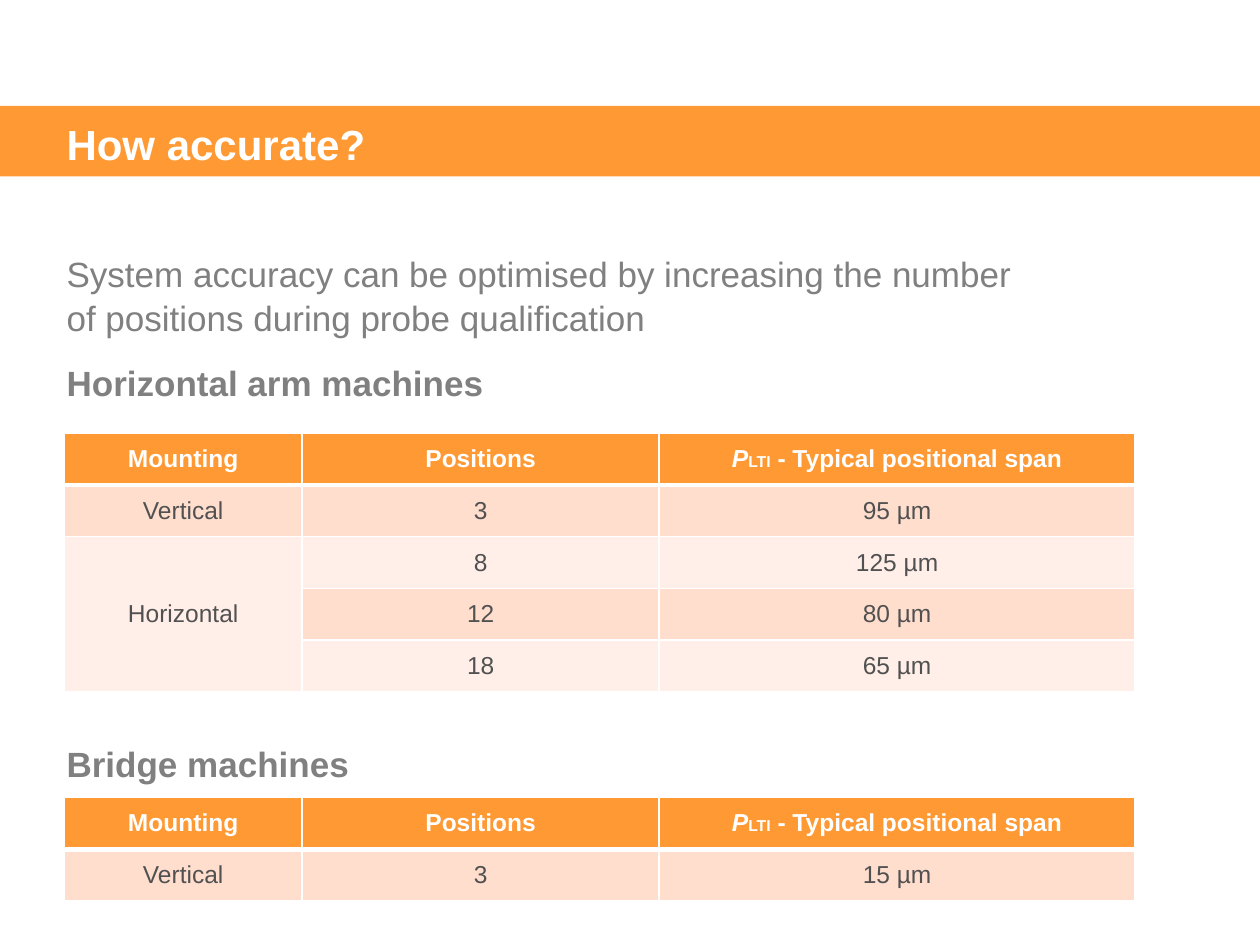
from pptx import Presentation
from pptx.dml.color import RGBColor
from pptx.enum.shapes import MSO_SHAPE
from pptx.enum.text import MSO_ANCHOR, PP_ALIGN
from pptx.oxml import parse_xml
from pptx.oxml.ns import nsdecls
from pptx.util import Inches, Pt

TITLE = "How accurate?"
# text, bold, space before in points
BODY = [
    ("System accuracy can be optimised by increasing the number "
     "of positions during probe qualification", False, 0),
    ("Horizontal arm machines", True, 0),
    ("Bridge machines", True, 180),
]
HEAD = ["Mounting", "Positions", ("P", "LTI", " - Typical positional span")]
ARM = [
    ("Vertical", "3", "95 µm"),
    ("Horizontal", "8", "125 µm"),
    ("", "12", "80 µm"),
    ("", "18", "65 µm"),
]
BRIDGE = [("Vertical", "3", "15 µm")]

THEME = {
    "font": "Arial", "accent": "FF9933", "white": "FFFFFF", "grey": "808080",
    "ink": "515151", "bands": ("FFDECE", "FFEFE8"),
    "title": 24, "body": 20, "cell": 14, "small": 9,
}
WIDE, HIGH = 10, 7.5
EDGE = 0.43
LEFT, SPAN, ROW = 0.51, 8.5, 0.41
SHARES = (2, 3, 4)


def color(name):
    return RGBColor.from_string(THEME.get(name, name))


def style(font, size, tint, bold=False):
    font.name = THEME["font"]
    font.size = Pt(THEME[size])
    font.color.rgb = color(tint)
    font.bold = bold


def add_text(slide, area, items, size, tint, after=0):
    box = slide.shapes.add_textbox(*map(Inches, area))
    frame = box.text_frame
    frame.word_wrap = True
    for i, (text, bold, before) in enumerate(items):
        para = frame.add_paragraph() if i else frame.paragraphs[0]
        para.text = text
        para.line_spacing = 1.05
        para.space_before, para.space_after = Pt(before), Pt(after)
        style(para.font, size, tint, bold)


def add_edges(cell, top, bottom):
    """Draw white cell borders; top and bottom are widths in points."""
    props = cell._tc.get_or_add_tcPr()
    for i, (side, width) in enumerate(zip("LRTB", (1, 1, top, bottom))):
        props.insert(i, parse_xml(
            f'<a:ln{side} {nsdecls("a")} w="{Pt(width)}"><a:solidFill>'
            f'<a:srgbClr val="{THEME["white"]}"/></a:solidFill></a:ln{side}>'))


def fill_cell(cell, value, row):
    head = row == 0
    cell.fill.solid()
    cell.fill.fore_color.rgb = color(
        "accent" if head else THEME["bands"][(row - 1) % 2])
    cell.vertical_anchor = MSO_ANCHOR.MIDDLE
    para = cell.text_frame.paragraphs[0]
    para.alignment = PP_ALIGN.CENTER
    style(para.font, "cell", "white" if head else "ink", head)
    if isinstance(value, tuple):
        for part in value:
            para.add_run().text = part
        symbol, index, _ = para.runs
        symbol.font.italic = True
        index.font.size = Pt(THEME["small"])
    else:
        para.text = value
    add_edges(cell, 3 if row == 1 else 1, 3 if head else 1)


def add_grid(slide, top, data):
    rows = [HEAD, *data]
    area = (LEFT, top, SPAN, ROW * len(rows))
    table = slide.shapes.add_table(
        len(rows), len(HEAD), *map(Inches, area)).table
    for col, share in zip(table.columns, SHARES):
        col.width = Inches(SPAN * share / sum(SHARES))
    for r, values in enumerate(rows):
        table.rows[r].height = Inches(ROW)
        for c, value in enumerate(values):
            fill_cell(table.cell(r, c), value, r)
    return table


def main():
    deck = Presentation()
    deck.slide_width, deck.slide_height = Inches(WIDE), Inches(HIGH)
    slide = deck.slides.add_slide(deck.slide_layouts[6])

    band = slide.shapes.add_shape(
        MSO_SHAPE.RECTANGLE, *map(Inches, (0, 0.84, WIDE, 0.56)))
    band.shadow.inherit = False
    band.fill.solid()
    band.fill.fore_color.rgb = color("accent")
    band.line.fill.background()

    add_text(slide, (EDGE, 0.87, 9.2, 0.49), [(TITLE, True, 0)],
             "title", "white")
    add_text(slide, (EDGE, 1.94, 7.72, 1.18), BODY, "body", "grey", 12)

    arm = add_grid(slide, 3.44, ARM)
    arm.cell(2, 0).merge(arm.cell(4, 0))
    add_grid(slide, 6.33, BRIDGE)
    deck.save("out.pptx")


if __name__ == "__main__":
    main()
